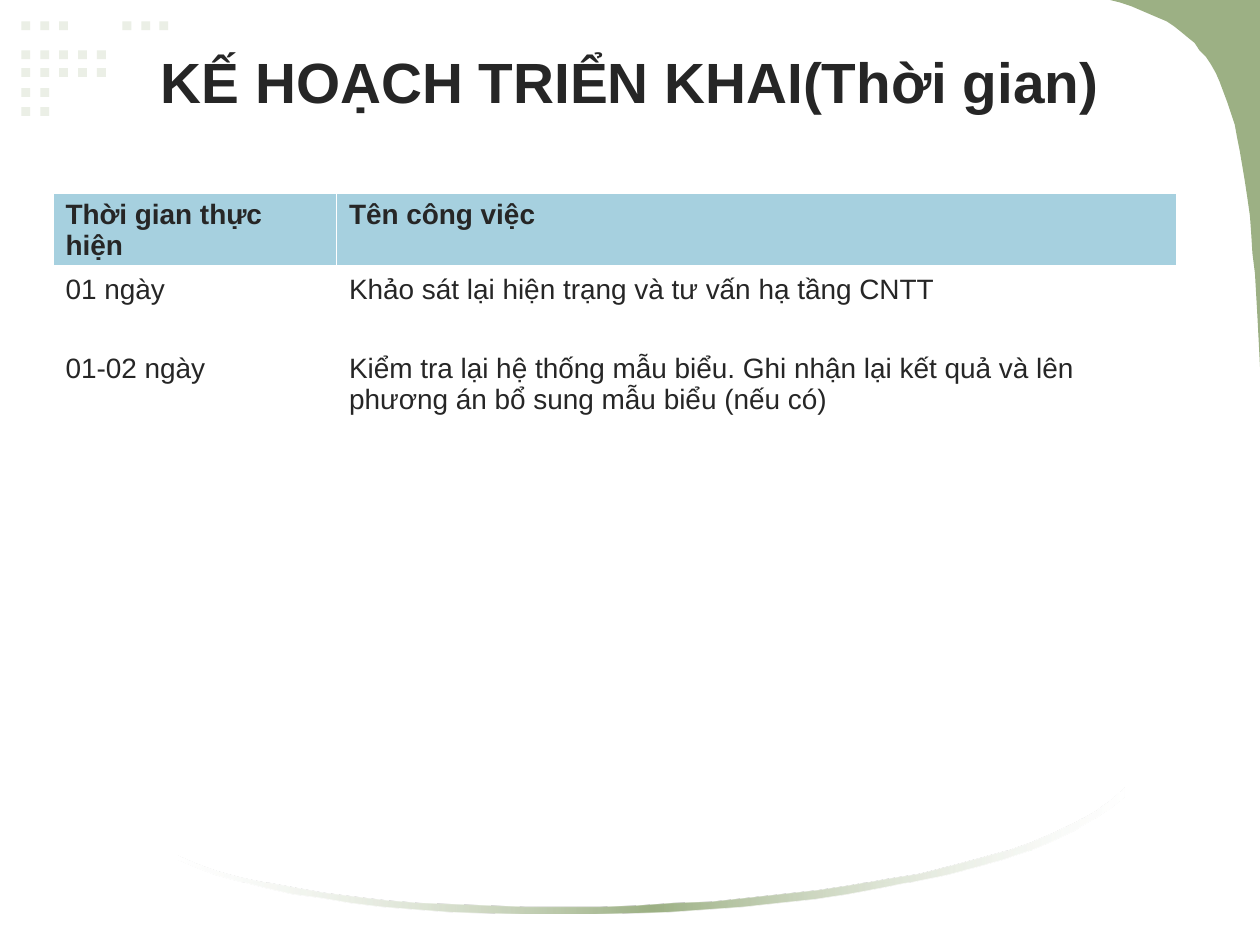
from lxml.etree import SubElement
from pptx import Presentation
from pptx.dml.color import RGBColor
from pptx.enum.shapes import MSO_SHAPE
from pptx.enum.text import MSO_ANCHOR, PP_ALIGN
from pptx.oxml.ns import qn
from pptx.util import Inches, Pt

WIDTH, HEIGHT = 10, 7.5
FONT = "Arial"
COLORS = {
    "text": "262626",
    "green": "9CB084",
    "dot": "EBEFE6",
    "header": "A6D0DF",
    "white": "FFFFFF",
}

DOT_SIZE = 0.07
DOT_LEFT, DOT_PITCH = 0.17, 0.15
# top of each row of dots, with the grid columns that are filled
DOT_ROWS = [
    (0.17, [0, 1, 2, 5.35, 6.35, 7.3]),
    (0.40, range(5)),
    (0.54, range(5)),
    (0.70, range(2)),
    (0.85, range(2)),
]

CORNER_CURVE = [
    (10, 2.91), (9.99, 2.71), (9.98, 2.52), (9.97, 2.34), (9.96, 2.17),
    (9.94, 2.01), (9.93, 1.85), (9.92, 1.71), (9.9, 1.57), (9.88, 1.44),
    (9.86, 1.32), (9.84, 1.2), (9.82, 1.1), (9.8, 0.99), (9.77, 0.9),
    (9.74, 0.81), (9.71, 0.73), (9.68, 0.65), (9.65, 0.58), (9.61, 0.51),
    (9.57, 0.45), (9.52, 0.4), (9.48, 0.34), (9.43, 0.3), (9.37, 0.25),
    (9.32, 0.21), (9.26, 0.17), (9.19, 0.14), (9.12, 0.11), (9.05, 0.08),
    (8.98, 0.05), (8.89, 0.02), (8.81, 0),
]
SWOOSH_LOWER = [
    (8.92, 6.25), (8.92, 6.32), (8.81, 6.41), (8.67, 6.5), (8.52, 6.59),
    (8.35, 6.67), (8.16, 6.75), (7.95, 6.82), (7.73, 6.88), (7.5, 6.94),
    (7.25, 6.99), (7, 7.04), (6.73, 7.09), (6.46, 7.13), (6.17, 7.16),
    (5.89, 7.19), (5.6, 7.21), (5.31, 7.23), (5.01, 7.24), (4.72, 7.25),
    (4.43, 7.25), (4.14, 7.25), (3.85, 7.24), (3.57, 7.23), (3.3, 7.21),
    (3.04, 7.19), (2.79, 7.16), (2.55, 7.12), (2.32, 7.09), (2.1, 7.04),
    (1.91, 6.99), (1.72, 6.94), (1.56, 6.88), (1.42, 6.82),
]
SWOOSH_UPPER = [
    (1.42, 6.79), (1.56, 6.85), (1.73, 6.91), (1.92, 6.96), (2.12, 7),
    (2.34, 7.04), (2.57, 7.08), (2.81, 7.11), (3.07, 7.14), (3.33, 7.16),
    (3.61, 7.17), (3.89, 7.18), (4.17, 7.19), (4.46, 7.19), (4.76, 7.19),
    (5.05, 7.18), (5.34, 7.16), (5.64, 7.15), (5.93, 7.12), (6.21, 7.09),
    (6.49, 7.06), (6.76, 7.02), (7.03, 6.97), (7.29, 6.93), (7.53, 6.87),
    (7.76, 6.81), (7.98, 6.75), (8.18, 6.68), (8.37, 6.6), (8.54, 6.52),
    (8.68, 6.44), (8.81, 6.35),
]

SCHEDULE = [
    ("Thời gian thực hiện", "Tên công việc"),
    ("01 ngày", "Khảo sát lại hiện trạng và tư vấn hạ tầng CNTT"),
    ("01-02 ngày", "Kiểm tra lại hệ thống mẫu biểu. Ghi nhận lại kết quả "
                   "và lên phương án bổ sung mẫu biểu (nếu có)"),
]
COLUMN_WIDTHS = [2.25, 6.67]
ROW_HEIGHTS = [0.36, 0.63, 1.16]


def rgb(name):
    return RGBColor.from_string(COLORS[name])


def paint(shape, color):
    shape.shadow.inherit = False
    shape.fill.solid()
    shape.fill.fore_color.rgb = rgb(color)
    shape.line.fill.background()


def style_text(frame, size, bold):
    for paragraph in frame.paragraphs:
        for run in paragraph.runs:
            run.font.name = FONT
            run.font.size = Pt(size)
            run.font.bold = bold
            run.font.color.rgb = rgb("text")


def add_dots(slide):
    for top, columns in DOT_ROWS:
        for column in columns:
            left = DOT_LEFT + column * DOT_PITCH
            dot = slide.shapes.add_shape(
                MSO_SHAPE.RECTANGLE, Inches(left), Inches(top),
                Inches(DOT_SIZE), Inches(DOT_SIZE))
            paint(dot, "dot")


def add_outline(slide, points):
    """Draw a closed outline in EMU, since path coordinates are whole numbers."""
    corners = [(Inches(x), Inches(y)) for x, y in points]
    builder = slide.shapes.build_freeform(*corners[0])
    builder.add_line_segments(corners[1:], close=True)
    outline = builder.convert_to_shape()
    paint(outline, "green")
    return outline


def fade_ends(shape):
    """Fill with a horizontal gradient: green in the middle, faint white at both ends."""
    shape.fill.gradient()
    shape.fill.gradient_angle = 0
    stops = shape._element.spPr.find(qn("a:gradFill")).find(qn("a:gsLst"))
    for stop in list(stops):
        stops.remove(stop)
    for share, color, opacity in [(0, "white", 30), (50, "green", 100), (100, "white", 30)]:
        stop = SubElement(stops, qn("a:gs"), pos=str(share * 1000))
        tint = SubElement(stop, qn("a:srgbClr"), val=COLORS[color])
        SubElement(tint, qn("a:alpha"), val=str(opacity * 1000))


def set_title(slide, text):
    title = slide.shapes.title
    title.left, title.top = Inches(0.05 * WIDTH), Inches(0.04 * HEIGHT)
    title.width, title.height = Inches(0.9 * WIDTH), Inches(0.95)
    frame = title.text_frame
    frame.text = text
    frame.word_wrap = True
    frame.vertical_anchor = MSO_ANCHOR.MIDDLE
    frame.margin_bottom = Inches(0.31)
    frame.paragraphs[0].alignment = PP_ALIGN.CENTER
    style_text(frame, 32.4, True)


def set_borders(cell, bottom_width):
    properties = cell._tc.get_or_add_tcPr()
    sides = [("a:lnL", 1), ("a:lnR", 1), ("a:lnT", 1), ("a:lnB", bottom_width)]
    for position, (side, width) in enumerate(sides):
        border = properties.makeelement(qn(side), {"w": str(Pt(width))})
        fill = SubElement(border, qn("a:solidFill"))
        SubElement(fill, qn("a:srgbClr"), val=COLORS["white"])
        properties.insert(position, border)


def add_schedule(slide):
    table = slide.shapes.add_table(
        len(SCHEDULE), len(COLUMN_WIDTHS), Inches(0.42), Inches(1.53),
        Inches(sum(COLUMN_WIDTHS)), Inches(sum(ROW_HEIGHTS))).table
    table.horz_banding = False
    for column, width in zip(table.columns, COLUMN_WIDTHS):
        column.width = Inches(width)
    for r, (entries, height) in enumerate(zip(SCHEDULE, ROW_HEIGHTS)):
        table.rows[r].height = Inches(height)
        is_header = r == 0
        for c, entry in enumerate(entries):
            cell = table.cell(r, c)
            cell.text_frame.text = entry
            style_text(cell.text_frame, 16, is_header)
            if is_header:
                cell.fill.solid()
                cell.fill.fore_color.rgb = rgb("header")
            else:
                cell.fill.background()
            set_borders(cell, 3 if is_header else 1)


def main():
    deck = Presentation()
    deck.slide_width, deck.slide_height = Inches(WIDTH), Inches(HEIGHT)
    slide = deck.slides.add_slide(deck.slide_layouts[5])
    add_dots(slide)
    add_outline(slide, [(WIDTH, 0)] + CORNER_CURVE)
    fade_ends(add_outline(slide, SWOOSH_LOWER + SWOOSH_UPPER))
    set_title(slide, "KẾ HOẠCH TRIỂN KHAI(Thời gian)")
    add_schedule(slide)
    deck.save("out.pptx")


if __name__ == "__main__":
    main()
